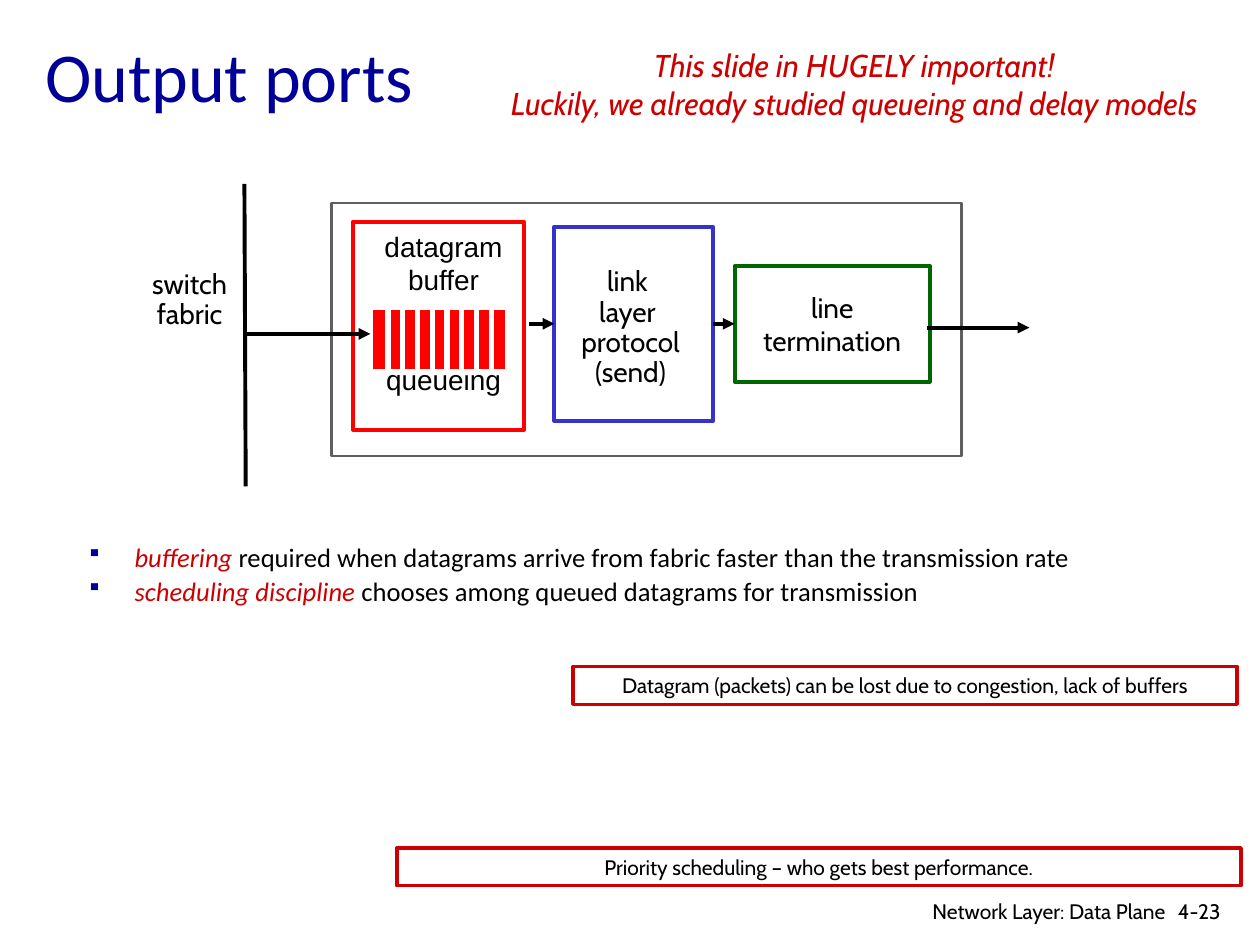
from lxml import etree
from pptx import Presentation
from pptx.dml.color import RGBColor
from pptx.enum.shapes import MSO_CONNECTOR as Connector, MSO_SHAPE as Preset
from pptx.enum.text import MSO_ANCHOR as Anchor, MSO_AUTO_SIZE as AutoSize, PP_ALIGN as Align
from pptx.oxml.ns import qn
from pptx.util import Inches, Pt

COLORS = {
    "black": "000000", "white": "FFFFFF", "gray": "5F5F5F", "navy": "000099",
    "crimson": "CC0000", "red": "FF0000", "blue": "3333CC", "green": "006600",
}
LEFT, RIGHT = 1, 3


def rgb(name):
    return RGBColor.from_string(COLORS[name])


def add_bullet(para, mark="▪", color="navy", indent=0.38, percent=80):
    props = para._p.get_or_add_pPr()
    props.set("marL", str(Inches(indent)))
    props.set("indent", str(-Inches(indent)))
    tint = etree.SubElement(props, qn("a:buClr"))
    etree.SubElement(tint, qn("a:srgbClr"), val=COLORS[color])
    etree.SubElement(props, qn("a:buSzPct"), val=str(percent * 1000))
    etree.SubElement(props, qn("a:buChar"), char=mark)


def write(shape, lines, size=16, font="Cabin", color="black", italic=False,
          align=Align.CENTER, anchor=Anchor.TOP, wrap=True, grow=False,
          spacing=None, gaps=None, bullet=False):
    """Each line is a string or a list of (text, color, italic); gaps maps line to points before."""
    frame = shape.text_frame
    frame.word_wrap = wrap
    frame.vertical_anchor = anchor
    frame.auto_size = AutoSize.SHAPE_TO_FIT_TEXT if grow else AutoSize.NONE
    for index, line in enumerate(lines):
        para = frame.paragraphs[0] if index == 0 else frame.add_paragraph()
        if bullet:
            add_bullet(para)
        para.alignment = align
        if spacing:
            para.line_spacing = spacing
        if gaps and index in gaps:
            para.space_before = Pt(gaps[index])
        parts = [(line, color, italic)] if isinstance(line, str) else line
        for text, tint, slanted in parts:
            span = para.add_run()
            span.text = text
            span.font.name = font
            span.font.size = Pt(size)
            span.font.italic = slanted
            span.font.color.rgb = rgb(tint)


def add_text(shapes, left, top, width, height, lines, **style):
    box = shapes.add_textbox(Inches(left), Inches(top), Inches(width), Inches(height))
    write(box, lines, **style)
    return box


def add_box(shapes, left, top, width, height, fill="white", line=None, weight=2.25,
            lines=(), **style):
    box = shapes.add_shape(Preset.RECTANGLE, Inches(left), Inches(top),
                           Inches(width), Inches(height))
    box.shadow.inherit = False
    box.fill.solid()
    box.fill.fore_color.rgb = rgb(fill)
    if line:
        box.line.color.rgb = rgb(line)
        box.line.width = Pt(weight)
    else:
        box.line.fill.background()
    if lines:
        write(box, lines, **style)
    return box


def add_line(shapes, start, end, color="black", weight=2.25, arrow=False):
    line = shapes.add_connector(Connector.STRAIGHT, *map(Inches, start + end))
    line.line.color.rgb = rgb(color)
    line.line.width = Pt(weight)
    if arrow:
        etree.SubElement(line.line._get_or_add_ln(), qn("a:tailEnd"), type="triangle")
    etree.SubElement(line._element.spPr, qn("a:effectLst"))
    return line


def add_buffer(page):
    """Datagram buffer with its queue of packets."""
    shapes = page.shapes.add_group_shape().shapes
    add_box(shapes, 2.8, 1.76, 1.36, 1.65, line="red")
    add_text(shapes, 2.87, 1.77, 1.3, 1.44, ["datagram", "buffer", "queueing"],
             font="Arial", gaps={2: 38})
    add_box(shapes, 2.94, 2.44, 1.09, 0.51, fill="red", line="white", weight=3)
    first, last, count = 3.08, 3.9, 8
    for index in range(count):
        x = first + index * (last - first) / (count - 1)
        add_line(shapes, (x, 2.45), (x, 2.94), color="white", weight=3)


def add_port(page):
    """Output port: buffer, link layer protocol, line termination."""
    shapes = page.shapes
    add_box(shapes, 2.63, 1.61, 5, 2.01, line="gray", weight=1.5)
    termination = add_box(shapes, 5.83, 2.11, 1.55, 0.92, line="green",
                          lines=["line", "termination"], anchor=Anchor.MIDDLE, wrap=False)
    protocol = add_box(shapes, 4.4, 1.8, 1.26, 1.54, line="blue")

    # Arrows between the stages
    arrow_in = add_line(shapes, (4.2, 2.57), (4.4, 2.57), arrow=True)
    arrow_in.end_connect(protocol, LEFT)
    arrow_on = add_line(shapes, (5.66, 2.57), (5.83, 2.57), arrow=True)
    arrow_on.begin_connect(protocol, RIGHT)
    arrow_on.end_connect(termination, LEFT)
    add_line(shapes, (7.36, 2.6), (8.17, 2.6), arrow=True)

    # Labels
    label = dict(anchor=Anchor.MIDDLE, wrap=False, spacing=0.9)
    add_box(shapes, 4.43, 2.15, 1.15, 0.91,
            lines=["link ", "layer ", "protocol", "(send)"], **label)
    add_box(shapes, 0.93, 1.93, 1.15, 0.91, lines=["switch", "fabric"], **label)

    add_buffer(page)

    # Switch fabric and its feed into the queue
    add_line(shapes, (1.94, 1.46), (1.95, 3.86))
    add_line(shapes, (1.93, 2.65), (2.94, 2.65), arrow=True)


def main():
    deck = Presentation()
    deck.slide_width, deck.slide_height = Inches(10), Inches(7.5)
    page = deck.slides.add_slide(deck.slide_layouts[6])
    shapes = page.shapes

    # Title and bullets
    add_text(shapes, 0.26, 0.28, 8.5, 0.63, ["Output ports"], size=40, font="Calibri",
             color="navy", align=Align.LEFT, anchor=Anchor.MIDDLE)
    add_text(shapes, 0.59, 4.32, 8.5, 1, [
        [("buffering", "crimson", True),
         (" required when datagrams arrive from fabric faster than the transmission rate",
          "black", False)],
        [("scheduling discipline", "crimson", True),
         (" chooses among queued datagrams for transmission", "black", False)],
    ], size=15.2, font="Calibri", align=Align.LEFT, spacing=0.65, gaps={1: 8}, bullet=True)

    add_port(page)

    # Remarks
    add_text(shapes, 3.64, 0.32, 6.28, 0.7,
             ["This slide in HUGELY important!",
              "Luckily, we already studied queueing and delay models"],
             size=18, color="crimson", italic=True, wrap=False, grow=True)
    remark = dict(line="crimson", weight=2, size=12, grow=True)
    add_box(shapes, 4.55, 5.29, 5.27, 0.3, **remark,
            lines=["Datagram (packets) can be lost due to congestion, lack of buffers"])
    add_box(shapes, 3.15, 6.73, 6.7, 0.3, **remark,
            lines=["Priority scheduling – who gets best performance."])

    # Footer
    add_text(shapes, 9.25, 7.08, 0.61, 0.3, ["4-23"], size=12, align=Align.LEFT)
    add_text(shapes, 6.97, 7.08, 2.38, 0.26, ["Network Layer: Data Plane"],
             size=12, align=Align.RIGHT)

    deck.save("out.pptx")


if __name__ == "__main__":
    main()
